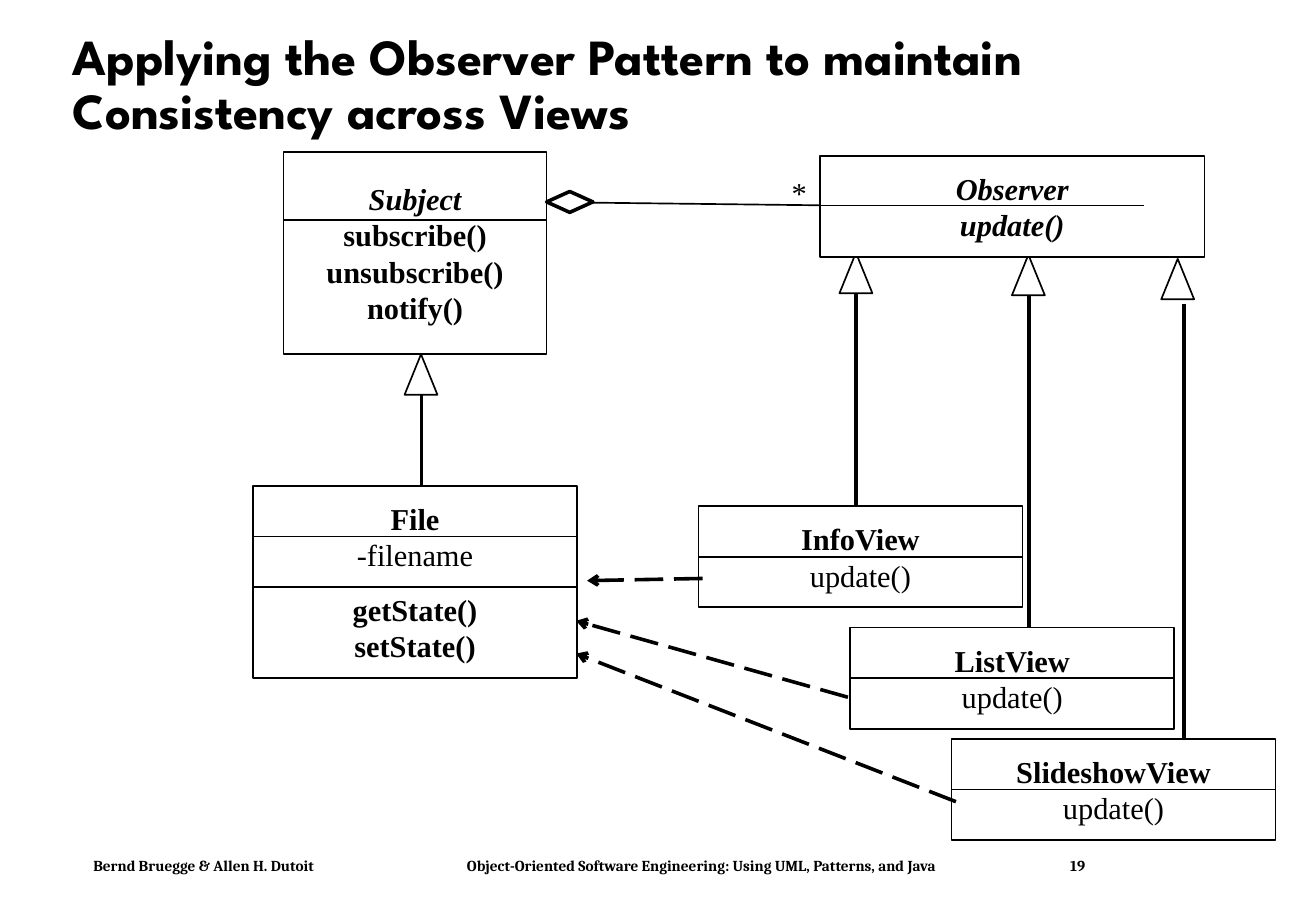
from lxml import etree
from pptx import Presentation
from pptx.dml.color import RGBColor
from pptx.enum.dml import MSO_LINE
from pptx.enum.shapes import MSO_CONNECTOR, MSO_SHAPE
from pptx.enum.text import MSO_ANCHOR, PP_ALIGN
from pptx.oxml.ns import qn
from pptx.util import Pt

BLACK, WHITE = "000000", "FFFFFF"
SERIF = "Times New Roman"


def paint(fill, color):
    fill.solid()
    fill.fore_color.rgb = RGBColor.from_string(color)


def add_line(x1, y1, x2, y2, width=1):
    line = slide.shapes.add_connector(
        MSO_CONNECTOR.STRAIGHT, Pt(x1), Pt(y1), Pt(x2), Pt(y2))
    paint(line.line.fill, BLACK)
    line.line.width = Pt(width)
    etree.SubElement(line._element.spPr, qn("a:effectLst"))
    return line


prs = Presentation()
prs.slide_width, prs.slide_height = Pt(780), Pt(540)
slide = prs.slides.add_slide(prs.slide_layouts[6])

# Title
title = slide.shapes.add_textbox(Pt(36), Pt(17.3), Pt(695.5), Pt(67.7)).text_frame
title.word_wrap = True
title.vertical_anchor = MSO_ANCHOR.MIDDLE
heading = title.paragraphs[0]
heading.text = "Applying the Observer Pattern to maintain Consistency across Views"
heading.line_spacing = 0.9
heading.font.name, heading.font.size, heading.font.bold = "League Spartan", Pt(30), True
paint(heading.font.fill, BLACK)

# Inheritance: triangle left and top, then line x, top and bottom
inheritance = [
    (239.8, 210, 249.8, 228, 303),
    (497.6, 149.8, 507.5, 174, 303),
    (599.8, 151, 609.8, 174, 393),
    (688.3, 153.4, 702, 180, 441),
]
for tip_left, tip_top, x, top, bottom in inheritance:
    add_line(x, top, x, bottom, 2.25)
    tip = slide.shapes.add_shape(
        MSO_SHAPE.FLOWCHART_EXTRACT, Pt(tip_left), Pt(tip_top), Pt(19.5), Pt(24))
    tip.shadow.inherit = False
    paint(tip.fill, WHITE)
    paint(tip.line.fill, BLACK)
    tip.line.width = Pt(1)

# Classes: left, top, width, height, divider offset and width, members (text, style)
classes = [
    (486, 92.4, 228, 60, 29.5, 192, [("Observer", "bi"), ("update()", "bi")]),
    (168, 90, 156, 120, 40.3, 156, [("Subject", "bi"), ("subscribe()", "b"),
                                    ("unsubscribe()", "b"), ("notify()", "b")]),
    (150, 342, 192, 60, None, 192, [("getState()", "b"), ("setState()", "b")]),
    (150, 288, 192, 60, 30, 192, [("File", "b"), ("-filename", "")]),
    (414, 300, 192, 60, 30, 192, [("InfoView", "b"), ("update()", "")]),
    (504, 372, 192, 60, 30, 192, [("ListView", "b"), ("update()", "")]),
    (564, 438, 192, 60, 30, 192, [("SlideshowView", "b"), ("update()", "")]),
]
for left, top, width, height, divider, divider_width, members in classes:
    box = slide.shapes.add_shape(
        MSO_SHAPE.RECTANGLE, Pt(left), Pt(top), Pt(width), Pt(height))
    box.shadow.inherit = False
    paint(box.fill, WHITE)
    paint(box.line.fill, BLACK)
    box.line.width = Pt(1)
    frame = box.text_frame
    frame.word_wrap = False
    frame.vertical_anchor = MSO_ANCHOR.MIDDLE
    frame.text = "\n".join(text for text, style in members)
    for member, (text, style) in zip(frame.paragraphs, members):
        member.alignment = PP_ALIGN.CENTER
        member.font.name, member.font.size = SERIF, Pt(18)
        member.font.bold, member.font.italic = "b" in style, "i" in style
        paint(member.font.fill, BLACK)
    if divider:
        add_line(left, top + divider, left + divider_width, top + divider)

# Aggregation from Subject to Observer
add_line(330, 119.9, 486, 121.7)
builder = slide.shapes.build_freeform(Pt(337.7), Pt(113.5), scale=1.0)
builder.add_line_segments(
    [(Pt(x), Pt(y)) for x, y in [(324, 119.7), (337.7, 125.9), (351.4, 119.7)]])
diamond = builder.convert_to_shape()
diamond.shadow.inherit = False
paint(diamond.fill, WHITE)
paint(diamond.line.fill, BLACK)
diamond.line.width = Pt(2.13)

many = slide.shapes.add_textbox(Pt(462.2), Pt(99.4), Pt(23), Pt(28.8)).text_frame
many.word_wrap = False
many.vertical_anchor = MSO_ANCHOR.MIDDLE
star = many.paragraphs[0]
star.text = "*"
star.alignment = PP_ALIGN.CENTER
star.font.name, star.font.size = SERIF, Pt(18)
paint(star.font.fill, BLACK)

# Dashed arrows from the views to File
for ends in [(416.5, 342.9, 348, 344.2), (502.6, 413.3, 341.5, 368),
             (566.6, 475.2, 341.5, 387.4)]:
    arrow = add_line(*ends, 2.13)
    arrow.line.dash_style = MSO_LINE.LONG_DASH
    etree.SubElement(arrow.line._get_or_add_ln(), qn("a:tailEnd"), type="arrow")

# Footer
footer = slide.shapes.add_textbox(Pt(48.2), Pt(504), Pt(660), Pt(18)).text_frame
footer.word_wrap = True
credit = footer.paragraphs[0]
credit.text = "\t".join([
    "Bernd Bruegge & Allen H. Dutoit",
    "Object-Oriented Software Engineering: Using UML, Patterns, and Java",
    "19",
])
tabs = etree.SubElement(credit._p.get_or_add_pPr(), qn("a:tabLst"))
for stop in (221.5, 579):
    etree.SubElement(tabs, qn("a:tab"), pos=str(Pt(stop)), algn="l")
credit.font.name, credit.font.size, credit.font.bold = "Cambria", Pt(9), True
paint(credit.font.fill, BLACK)

prs.save("out.pptx")
